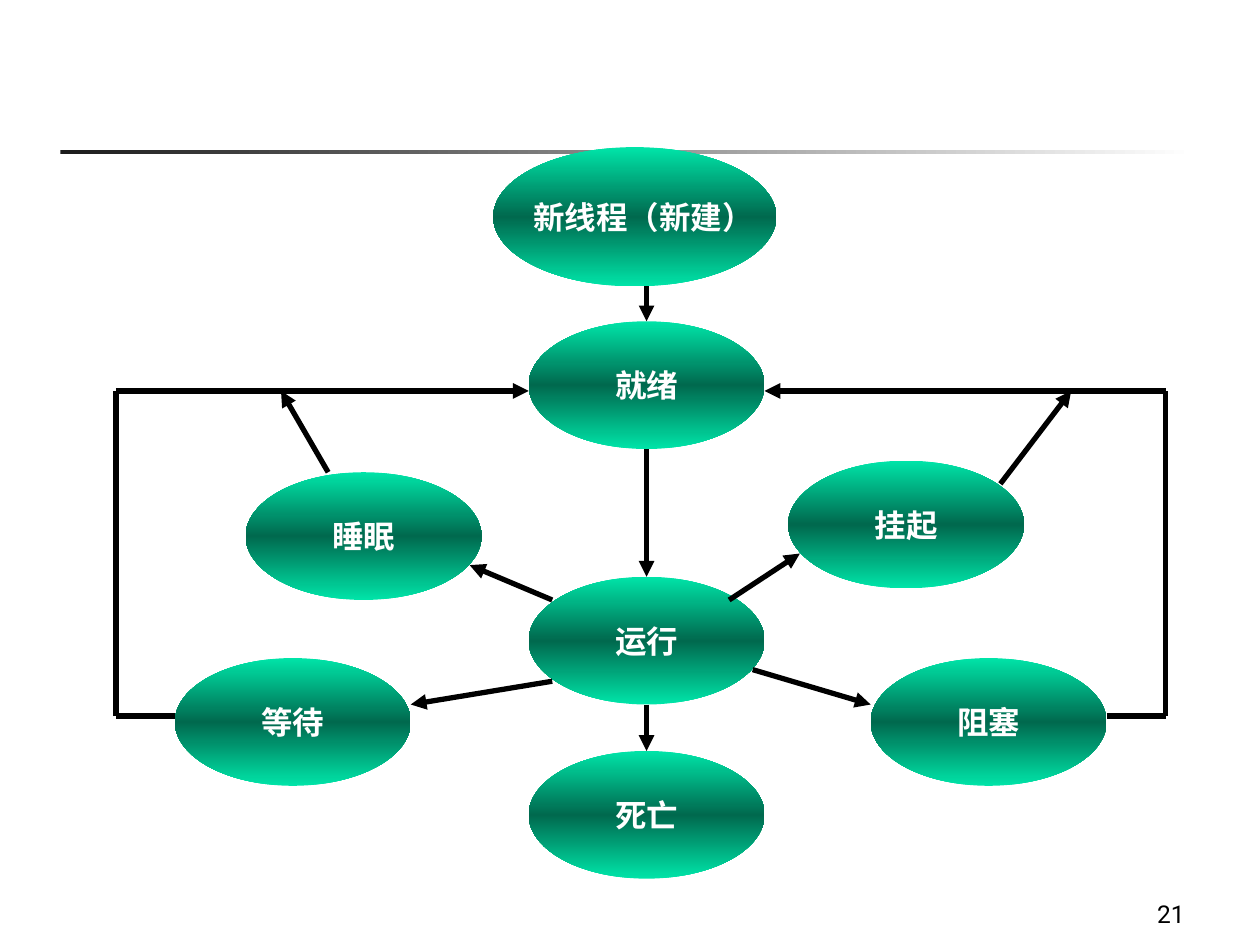
from copy import deepcopy

from lxml.etree import SubElement
from pptx import Presentation
from pptx.dml.color import RGBColor
from pptx.enum.shapes import MSO_CONNECTOR, MSO_SHAPE
from pptx.enum.text import MSO_ANCHOR, PP_ALIGN
from pptx.oxml.ns import qn
from pptx.util import Inches, Pt

BLACK = RGBColor(0x00, 0x00, 0x00)
WHITE = RGBColor(0xFF, 0xFF, 0xFF)
CHARCOAL = RGBColor(0x1C, 0x1C, 0x1C)
MINT = RGBColor(0x00, 0xE4, 0xA8)
DEEP_GREEN = RGBColor(0x00, 0x69, 0x4E)

LEFT, TOP = Inches(0.92), Inches(2.55)
COL, ROW = Inches(8.33) / 17.8, Inches(3.41) / 37


def grid_point(col, row):
    return round(LEFT + col * COL), round(TOP + row * ROW)


def paint_gradient(shape, colors, angle):
    shape.shadow.inherit = False
    shape.line.fill.background()
    shape.fill.gradient()
    shape.fill.gradient_angle = angle
    stop_list = shape._element.spPr.find(qn("a:gradFill")).find(qn("a:gsLst"))
    for _ in colors[2:]:
        stop_list.append(deepcopy(stop_list[-1]))
    for index, (stop, color) in enumerate(zip(shape.fill.gradient_stops, colors)):
        stop.position = index / (len(colors) - 1)
        stop.color.rgb = color


prs = Presentation()
prs.slide_width, prs.slide_height = Inches(10), Inches(7.5)
slide = prs.slides.add_slide(prs.slide_layouts[6])
shapes = slide.shapes

title_rule = shapes.add_shape(
    MSO_SHAPE.RECTANGLE, Inches(0.48), Inches(1.19), Inches(9), Inches(0.03))
paint_gradient(title_rule, [CHARCOAL, WHITE], 0)

page_number = shapes.add_textbox(Inches(7.42), Inches(6.92), Inches(2.08), Inches(0.5))
page_number.text_frame.word_wrap = True
page_number.text_frame.vertical_anchor = MSO_ANCHOR.BOTTOM
page_number.text_frame.text = "21"
number_line = page_number.text_frame.paragraphs[0]
number_line.alignment = PP_ALIGN.RIGHT
number_font = number_line.runs[0].font
number_font.name, number_font.size = "Roboto", Pt(14)
number_font.color.rgb = BLACK

states = [
    ("挂起", 11.4, 12, 4, 11),
    ("新线程（新建）", 6.4, -15, 4.8, 12),
    ("就绪", 7, 0, 4, 11),
    ("运行", 7, 22, 4, 11),
    ("死亡", 7, 37, 4, 11),
    ("睡眠", 2.2, 13, 4, 11),
    ("等待", 1, 29, 4, 11),
    ("阻塞", 12.8, 29, 4, 11),
]
for name, col, row, cols, rows in states:
    state = shapes.add_shape(
        MSO_SHAPE.OVAL, *grid_point(col, row), round(cols * COL), round(rows * ROW))
    paint_gradient(state, [MINT, DEEP_GREEN, MINT], 90)
    label = state.text_frame
    label.word_wrap = False
    label.vertical_anchor = MSO_ANCHOR.MIDDLE
    if name == "新线程（新建）":
        label.margin_left += Pt(10)
    label.text = name
    label_line = label.paragraphs[0]
    label_line.alignment = PP_ALIGN.CENTER
    label_line.space_before = Pt(3.6)
    label_font = label_line.runs[0].font
    label_font.name, label_font.size, label_font.bold = "Arial", Pt(18), True
    label_font.color.rgb = WHITE

transitions = [
    ((0, 6), (7, 6), True),
    ((9, -3), (9, 0), True),
    ((9, 11), (9, 22), True),
    ((9, 33), (9, 37), True),
    ((7.4, 31), (5, 33), True),
    ((10.8, 30), (12.8, 33), True),
    ((10.4, 24), (11.6, 20), True),
    ((7.4, 24), (6, 21), True),
    ((1, 34), (0, 34), False),
    ((0, 34), (0, 6), False),
    ((17.8, 34), (17.8, 6), False),
    ((17.8, 6), (11, 6), True),
    ((16.8, 34), (17.8, 34), False),
    ((3.6, 13), (2.8, 6), True),
    ((15, 14), (16.2, 6), True),
]
for start, end, has_arrow in transitions:
    transition = shapes.add_connector(
        MSO_CONNECTOR.STRAIGHT, *grid_point(*start), *grid_point(*end))
    transition.line.width = Pt(3)
    transition.line.color.rgb = BLACK
    if has_arrow:
        SubElement(transition.line._get_or_add_ln(), qn("a:tailEnd"), type="triangle")
    SubElement(transition._element.spPr, qn("a:effectLst"))

prs.save("out.pptx")
